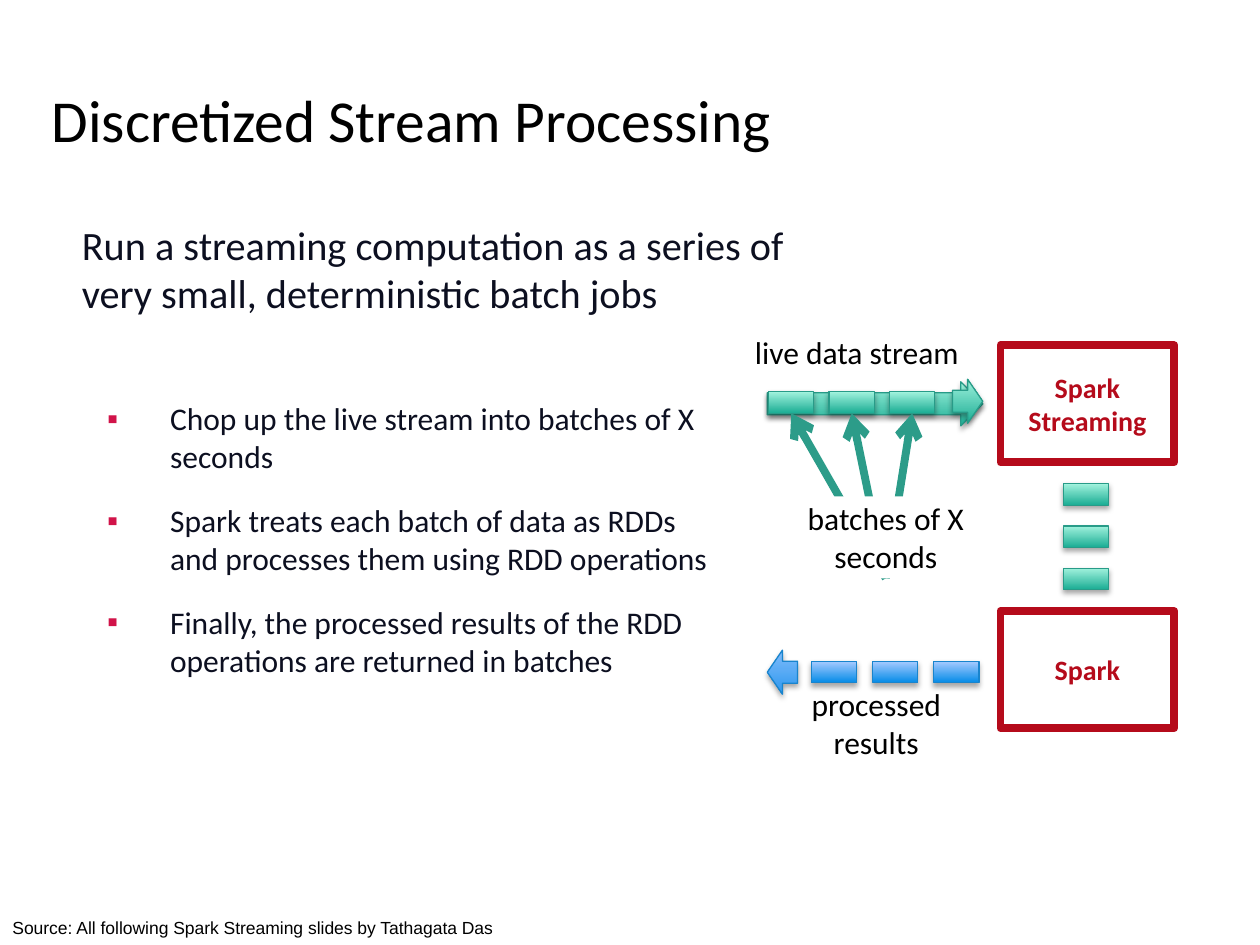
"""Build the slide on discretized stream processing: two text blocks and a batch flow diagram."""
from lxml.etree import SubElement
from pptx import Presentation
from pptx.dml.color import RGBColor
from pptx.enum.shapes import MSO_CONNECTOR, MSO_SHAPE
from pptx.enum.text import MSO_ANCHOR, MSO_AUTO_SIZE, PP_ALIGN
from pptx.oxml import parse_xml
from pptx.oxml.ns import nsdecls, qn
from pptx.util import Inches, Pt

GREEN = ("1BAD94", "A1F2DD", "289B88")
BLUE = ("038BE7", "A6CAFF", "1884CD")
PALE_BLUE = ("7FBBFB", "2E98EE", "1884CD")
SHADOW = (
    f'<a:effectLst {nsdecls("a")}><a:outerShdw blurRad="39370" dist="22860" dir="5400000" rotWithShape="0">'
    '<a:srgbClr val="000000"><a:alpha val="35000"/></a:srgbClr></a:outerShdw></a:effectLst>'
)

prs = Presentation()
prs.slide_width, prs.slide_height = Inches(10), Inches(7.5)
cell = prs.slide_width / 100
slide = prs.slides.add_slide(prs.slide_layouts[3])
shapes = slide.shapes
color = RGBColor.from_string


def write(shape, place, text, size, ink="000000", insets=(0.4, 0.2), align=PP_ALIGN.LEFT,
          anchor=MSO_ANCHOR.TOP, font="Calibri", bold=False):
    """Place a shape on the grid and format its text."""
    shape.left, shape.top, shape.width, shape.height = (round(n * cell) for n in place)
    frame = shape.text_frame
    frame.text = text
    frame.word_wrap, frame.auto_size, frame.vertical_anchor = True, MSO_AUTO_SIZE.NONE, anchor
    frame.margin_left = frame.margin_right = round(insets[0] * cell)
    frame.margin_top = frame.margin_bottom = round(insets[1] * cell)
    for paragraph in frame.paragraphs:
        paragraph.alignment, paragraph.space_before = align, Pt(0)
        for run in paragraph.runs:
            run.font.name, run.font.size, run.font.bold = font, Pt(size), bold
            run.font.color.rgb = color(ink)
    return shape


def glossy(kind, left, top, width, height, palette):
    """Add a gradient shape with a soft shadow."""
    shape = shapes.add_shape(kind, *(round(n * cell) for n in (left, top, width, height)))
    shape.fill.gradient()
    shape.fill.gradient_angle = 90
    for stop, tone in zip(shape.fill.gradient_stops, palette):
        stop.color.rgb = color(tone)
    shape.line.color.rgb, shape.line.width = color(palette[2]), Pt(0.75)
    shape._element.spPr.append(parse_xml(SHADOW))
    return shape


title, summary, steps = slide.placeholders
write(title, (3.9, 5.1, 91.8, 8.7), "Discretized Stream Processing", 34,
      insets=(0.2, 0.2), anchor=MSO_ANCHOR.MIDDLE)
write(summary, (5, 17.5, 62.5, 13.8),
      "Run a streaming computation as a series of very small, deterministic batch jobs",
      23, "0C0F20", (0, 0))
summary_format = summary.text_frame.paragraphs[0]._p.get_or_add_pPr()
summary_format.set("marL", str(Inches(0.15)))
summary_format.set("indent", "0")
SubElement(summary_format, qn("a:buNone"))

glossy(MSO_SHAPE.RIGHT_ARROW, 60.9, 30.3, 17.1, 3.5, GREEN)
glossy(MSO_SHAPE.RIGHT_ARROW, 75.6, 30.1, 2.4, 3.5, GREEN)
batches = [glossy(MSO_SHAPE.RECTANGLE, 61 + 4.8 * i, 31.1, 3.6, 1.7, GREEN) for i in range(3)]

for engine, top in (("Spark", 48.5), ("Spark\nStreaming", 27.4)):
    engine_box = shapes.add_shape(MSO_SHAPE.RECTANGLE, 0, 0, 0, 0)
    engine_box.shadow.inherit = False
    engine_box.fill.solid()
    engine_box.fill.fore_color.rgb = color("FFFFFF")
    engine_box.line.color.rgb, engine_box.line.width = color("B50B1B"), Pt(4.5)
    write(engine_box, (79.4, top, 13.8, 9.3), engine, 16, "B50B1B",
          align=PP_ALIGN.CENTER, anchor=MSO_ANCHOR.MIDDLE, bold=True)
for i in range(3):
    glossy(MSO_SHAPE.RECTANGLE, 84.4, 38.4 + 3.35 * i, 3.6, 1.7, GREEN)

pointers = []
for batch in batches:
    pointer = shapes.add_connector(MSO_CONNECTOR.STRAIGHT, 0, 0, 0, 0)
    pointer.line.color.rgb, pointer.line.width = color("2C9C89"), Pt(4.5)
    SubElement(pointer.line._get_or_add_ln(), qn("a:tailEnd"), type="arrow")
    SubElement(pointer._element.spPr, qn("a:effectLst"))
    pointer.end_connect(batch, 2)
    pointers.append(pointer)

for label, place in (("live data stream", (58.4, 26.2, 19.2, 3.5)),
                     ("batches of X seconds", (59.7, 39.4, 21.2, 6.5))):
    label_box = shapes.add_shape(MSO_SHAPE.RECTANGLE, 0, 0, 0, 0)
    label_box.shadow.inherit = False
    label_box.fill.solid()
    label_box.fill.fore_color.rgb = color("FFFFFF")
    label_box.line.fill.background()
    write(label_box, place, label, 18, align=PP_ALIGN.CENTER)
for pointer in pointers:
    pointer.begin_connect(label_box, 2)

glossy(MSO_SHAPE.RIGHT_ARROW, 60.9, 51.6, 2.4, 3.5, PALE_BLUE).rotation = 180
for i in range(3):
    glossy(MSO_SHAPE.RECTANGLE, 64.4 + 4.85 * i, 52.5, 3.6, 1.7, BLUE)
write(shapes.add_textbox(0, 0, 0, 0), (61, 53.9, 17.1, 7.1), "processed results", 18,
      insets=(1, 0.5), align=PP_ALIGN.CENTER)

write(steps, (5, 31.7, 52.8, 30),
      "Chop up the live stream into batches of X seconds\n"
      "Spark treats each batch of data as RDDs and processes them using RDD operations\n"
      "Finally, the processed results of the RDD operations are returned in batches",
      18, "0C0F20", (0, 0))
for i, step in enumerate(steps.text_frame.paragraphs):
    step.space_before = Pt(15 if i else 0)
    step_format = step._p.get_or_add_pPr()
    step_format.set("marL", str(Inches(0.85)))
    step_format.set("indent", str(-Inches(0.5)))
    SubElement(SubElement(step_format, qn("a:buClr")), qn("a:srgbClr"), val="D11349")
    SubElement(step_format, qn("a:buFont"), typeface="Arial")
    SubElement(step_format, qn("a:buChar"), char="▪")

write(shapes.add_textbox(0, 0, 0, 0), (0, 72.3, 44.2, 2.7),
      "Source: All following Spark Streaming slides by Tathagata Das", 10,
      insets=(1, 0.5), font="Arial")

prs.save("out.pptx")
